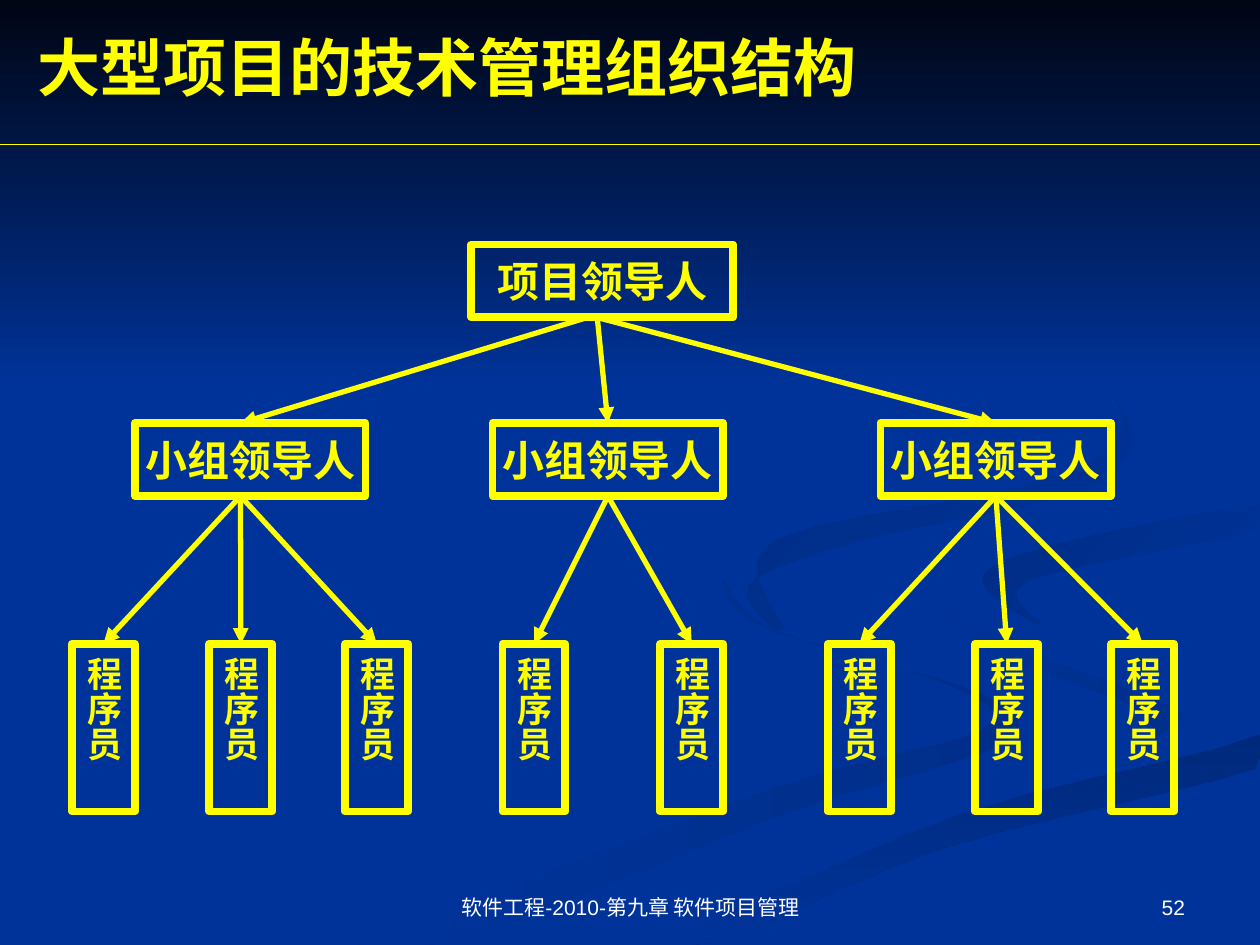
"""Build a slide charting the technical management structure of a large project."""
from lxml.etree import SubElement
from pptx import Presentation
from pptx.dml.color import RGBColor
from pptx.enum.shapes import MSO_CONNECTOR, MSO_SHAPE
from pptx.enum.text import MSO_ANCHOR, MSO_AUTO_SIZE, PP_ALIGN
from pptx.oxml.ns import qn
from pptx.util import Cm, Pt

TITLE = "大型项目的技术管理组织结构"
FOOTER = "软件工程-2010-第九章 软件项目管理"
PAGE = "52"
LEADER, GROUP_LEADER, PROGRAMMER = "项目领导人", "小组领导人", "程序员"
YELLOW, WHITE, BLUE, NIGHT = "FFFF00", "FFFFFF", "003399", "000514"
SERIF, SANS = "Times New Roman", "Arial"

LEADER_FRAME = (9.5, 4.93, 5.28, 1.47)
GROUP_TOP, GROUP_SIZE = 8.53, (4.65, 1.47)
PROGRAMMER_TOP, PROGRAMMER_SIZE = 12.98, (1.27, 3.38)
GROUPS = [
    {"left": 2.72, "hub": 4.85, "source": 11.84, "programmers": [1.45, 4.22, 6.96]},
    {"left": 9.93, "hub": 12.25, "source": 12.04, "programmers": [10.13, 13.31]},
    {"left": 17.75, "hub": 20.08, "source": 12.04, "programmers": [16.69, 19.66, 22.4]},
]

RIBBONS = [
    (("002E8A", BLUE), 180, [
        (19.8, 14), (15.6, 12.7), (14.6, 11.7), (15.3, 12.6), (19.1, 13.8), (19.8, 14.7),
        (15.6, 15.9), (7.6, 19), (9.2, 19), (15.8, 16.4), (20.2, 15)]),
    (("002E8A", BLUE), 225, [
        (24, 14.5), (20.1, 12.9), (18.4, 11.8), (19.7, 13), (23.1, 14.4), (22.7, 15.4)]),
    (("00297C", BLUE), 90, [
        (12.8, 19), (14.5, 19), (19, 17.1), (25.3, 15.5), (25.3, 14.8), (19.4, 16.4)]),
    ((BLUE, BLUE), 0, [
        (18.4, 11.8), (20.6, 13.1), (23.9, 14.3), (20.7, 15.9), (12.1, 19), (13.2, 19),
        (19.4, 16.4), (25.4, 14.8), (25.4, 13.7), (21.1, 12.6), (20.3, 11.2), (25.4, 10.2),
        (25.4, 9.8), (19.2, 11)]),
    ((BLUE, "002C85"), 225, [
        (19.8, 11.7), (21, 12.6), (20.7, 11.7), (25.3, 10.7), (25.3, 10.2), (21.2, 11)]),
    ((BLUE, "002B81"), 225, [
        (17.3, 10.9), (22, 9.8), (22.6, 8.2), (19.4, 5.9), (22.5, 8.1), (21.4, 9.6),
        (15.6, 10.9), (15.8, 12.7), (15.1, 11.8)]),
]


def rgb(hex_code):
    """Turn a hex string into a colour."""
    return RGBColor.from_string(hex_code)


def paint(shape, stops, angle):
    """Fill a shape with a two-stop gradient at a clockwise angle, without outline."""
    shape.shadow.inherit = False
    shape.line.fill.background()
    shape.fill.gradient()
    shape.fill.gradient_angle = -angle % 360
    for stop, color in zip(shape.fill.gradient_stops, stops):
        stop.color.rgb = rgb(color)


def write(shape, text, size, font, color, align, anchor, bold=False, wrap=True):
    """Put one formatted paragraph into a shape."""
    frame = shape.text_frame
    frame.word_wrap = wrap
    frame.auto_size = MSO_AUTO_SIZE.NONE
    frame.vertical_anchor = anchor
    paragraph = frame.paragraphs[0]
    paragraph.text = text
    paragraph.alignment = align
    paragraph.font.size = Pt(size)
    paragraph.font.name = font
    paragraph.font.bold = bold
    paragraph.font.color.rgb = rgb(color)


def smooth_outline(knots, steps=5):
    """Return points on a closed Catmull-Rom curve through the knots, kept on the slide."""
    outline = []
    for i in range(len(knots)):
        corners = [knots[(i + shift) % len(knots)] for shift in (-1, 0, 1, 2)]
        for t in (step / steps for step in range(steps)):
            x, y = (b + t * (c - a + t * (2 * a - 5 * b + 4 * c - d
                                          + t * (3 * b - a - 3 * c + d))) / 2
                    for a, b, c, d in zip(*corners))
            outline.append((min(x, 25.4), min(y, 19.05)))
    return outline


def add_ribbon(shapes, stops, angle, knots):
    """Draw one closed background ribbon."""
    outline = [(Cm(x), Cm(y)) for x, y in smooth_outline(knots)]
    builder = shapes.build_freeform(*outline[0])
    builder.add_line_segments(outline[1:], close=True)
    paint(builder.convert_to_shape(), stops, angle)


def add_role(shapes, text, frame, size, vertical=False):
    """Draw an outlined box for one role."""
    box = shapes.add_shape(MSO_SHAPE.RECTANGLE, *map(Cm, frame))
    box.shadow.inherit = False
    box.fill.background()
    box.line.color.rgb = rgb(YELLOW)
    box.line.width = Pt(4.5)
    write(box, text, size, SERIF, YELLOW, PP_ALIGN.CENTER, MSO_ANCHOR.MIDDLE, True, False)
    if vertical:
        label = box.text_frame
        label.margin_left = label.margin_right = Cm(0.13)
        label.margin_top = label.margin_bottom = Cm(0.25)
        label._txBody.bodyPr.set("vert", "eaVert")
    return box


def add_line(shapes, start, end, width):
    """Draw a yellow straight line without shadow."""
    line = shapes.add_connector(MSO_CONNECTOR.STRAIGHT, *start, *end)
    line.line.color.rgb = rgb(YELLOW)
    line.line.width = Pt(width)
    SubElement(line._element.spPr, qn("a:effectLst"))
    return line


def add_arrow(shapes, upper, start_x, lower, end_x):
    """Link two boxes, joining each end that meets the middle of a side."""
    start, end = Cm(start_x), Cm(end_x)
    arrow = add_line(shapes, (start, upper.top + upper.height), (end, lower.top), 3)
    SubElement(arrow.line._get_or_add_ln(), qn("a:tailEnd"), type="triangle")
    for box, x, join, side in ((upper, start, arrow.begin_connect, 2),
                               (lower, end, arrow.end_connect, 0)):
        if abs(box.left + box.width / 2 - x) < Cm(0.05):
            join(box, side)


def add_organisation(shapes):
    """Lay out the three levels of roles and their arrows."""
    leader = add_role(shapes, LEADER, LEADER_FRAME, 24)
    for group in GROUPS:
        hub = group["hub"]
        head = add_role(shapes, GROUP_LEADER, (group["left"], GROUP_TOP, *GROUP_SIZE), 24)
        add_arrow(shapes, leader, group["source"], head, hub)
        for left in group["programmers"]:
            frame = (left, PROGRAMMER_TOP, *PROGRAMMER_SIZE)
            programmer = add_role(shapes, PROGRAMMER, frame, 20, vertical=True)
            add_arrow(shapes, head, hub, programmer, left + PROGRAMMER_SIZE[0] / 2)


def main():
    """Assemble and save the slide."""
    deck = Presentation()
    deck.slide_width, deck.slide_height = Cm(25.4), Cm(19.05)
    slide = deck.slides.add_slide(deck.slide_layouts[5])
    shapes = slide.shapes
    slide.background.fill.solid()
    slide.background.fill.fore_color.rgb = rgb(BLUE)
    for stops, angle, knots in RIBBONS:
        add_ribbon(shapes, stops, angle, knots)
    sky = shapes.add_shape(MSO_SHAPE.RECTANGLE, 0, 0, deck.slide_width, Cm(7.82))
    paint(sky, (NIGHT, BLUE), 90)

    add_organisation(shapes)

    title = shapes.title
    shapes._spTree.append(title._element)
    title.left, title.top, title.width, title.height = map(Cm, (0.51, 0.36, 24.89, 1.96))
    write(title, TITLE, 36, SERIF, YELLOW, PP_ALIGN.LEFT, MSO_ANCHOR.MIDDLE, True)
    add_line(shapes, (0, Cm(2.92)), (deck.slide_width, Cm(2.92)), 0.75)
    for text, left, width, align in ((FOOTER, 8.69, 8.05, PP_ALIGN.CENTER),
                                     (PAGE, 18.21, 5.93, PP_ALIGN.RIGHT)):
        note = shapes.add_textbox(*map(Cm, (left, 17.35, width, 1.32)))
        write(note, text, 12, SANS, WHITE, align, MSO_ANCHOR.BOTTOM)
    deck.save("out.pptx")


if __name__ == "__main__":
    main()
